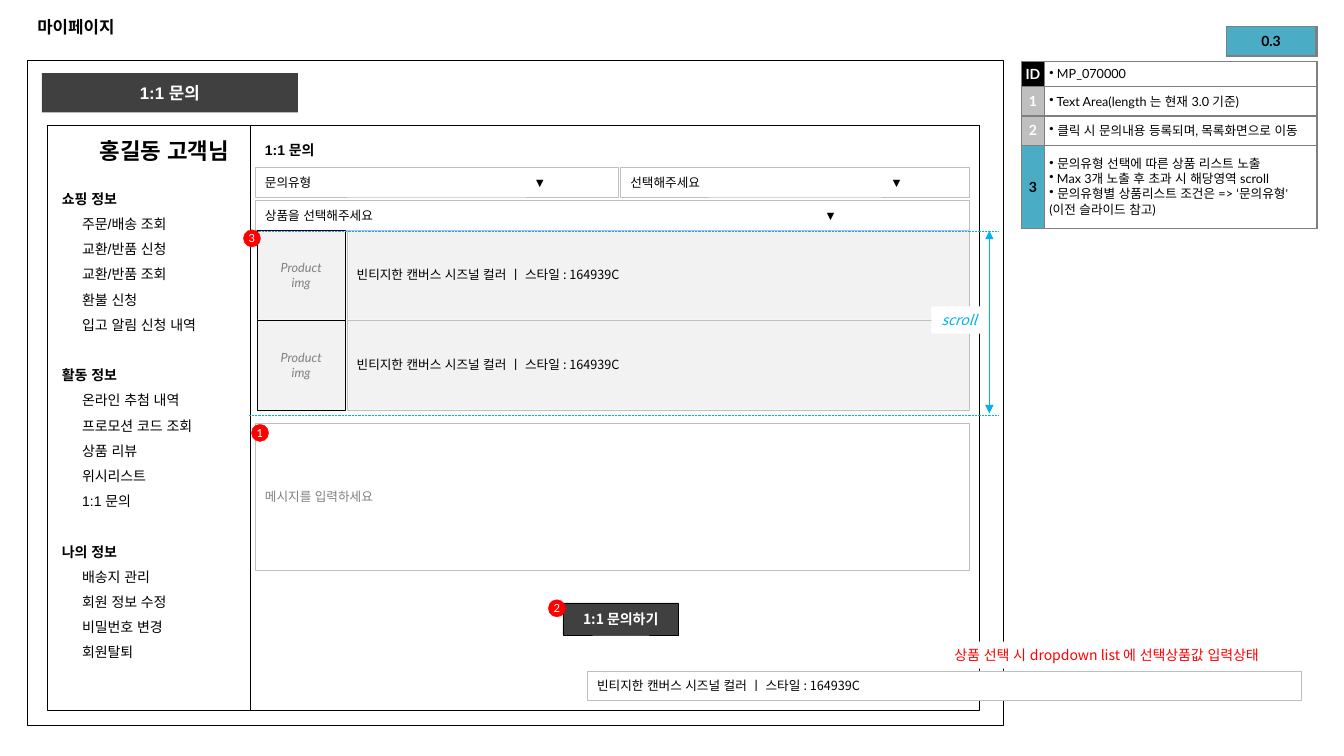
from dataclasses import dataclass, replace
from typing import NamedTuple, Optional

from lxml.etree import SubElement
from pptx import Presentation
from pptx.dml.color import RGBColor
from pptx.enum.dml import MSO_LINE
from pptx.enum.shapes import MSO_CONNECTOR, MSO_SHAPE
from pptx.enum.text import MSO_ANCHOR, MSO_AUTO_SIZE, PP_ALIGN
from pptx.oxml.ns import qn
from pptx.util import Inches, Pt

CELL = Inches(0.1)  # the slide is a grid of square cells
COLUMNS, ROWS = 133.33, 75


@dataclass(frozen=True)
class Theme:
    black: str = "000000"
    white: str = "FFFFFF"
    dark: str = "404040"
    edge: str = "7F7F7F"
    muted: str = "808080"
    silver: str = "BFBFBF"
    pale: str = "F2F2F2"
    teal: str = "4BACC6"
    sky: str = "00B0F0"
    red: str = "FF0000"
    latin: str = "Arial"
    label: str = "Lato"
    korean: str = "Noto Sans CJK KR"
    name: int = 16
    title: int = 12
    body: int = 10
    small: int = 9
    tiny: int = 8


THEME = Theme()


class Area(NamedTuple):
    column: float
    row: float
    width: float
    height: float


@dataclass(frozen=True)
class Type:
    size: int = THEME.small
    colour: str = THEME.black
    font: str = THEME.korean
    bold: bool = False
    italic: bool = False
    align: PP_ALIGN = PP_ALIGN.LEFT


@dataclass(frozen=True)
class Look:
    fill: Optional[str] = None
    line: Optional[str] = None
    weight: float = 0.25
    type: Type = Type()
    inset: Optional[float] = None
    outline: MSO_SHAPE = MSO_SHAPE.RECTANGLE
    hug: bool = False


class Block(NamedTuple):
    area: Area
    look: Look
    text: str = ""
    arrow: Optional[float] = None


class Rule(NamedTuple):
    start: tuple
    end: tuple
    weight: float
    dashed: bool = False


class Note(NamedTuple):
    mark: str
    fill: str
    colour: str
    height: float
    lines: tuple


HEADING = Type(THEME.body, font=THEME.latin, bold=True)
MARK = Type(THEME.body, font=THEME.label, bold=True, align=PP_ALIGN.CENTER)
FIELD = Look(THEME.white, THEME.silver)
PRODUCT = replace(FIELD, fill=THEME.pale)
THUMBNAIL = Look(THEME.pale, THEME.black, inset=0.4, type=Type(
    THEME.small, THEME.muted, THEME.label, italic=True, align=PP_ALIGN.CENTER))
BADGE = Look(THEME.red, THEME.red, inset=0, outline=MSO_SHAPE.OVAL, type=Type(
    THEME.tiny, THEME.white, THEME.label, align=PP_ALIGN.CENTER))
BANNER = Look(THEME.dark, type=Type(
    THEME.title, THEME.white, THEME.latin, bold=True, align=PP_ALIGN.CENTER))
BUTTON = Look(THEME.dark, THEME.black, type=Type(
    THEME.body, THEME.white, bold=True, align=PP_ALIGN.CENTER))
REMARK = Look(THEME.white, type=Type(THEME.body, THEME.red), hug=True)
SCROLL = replace(REMARK, type=Type(THEME.body, THEME.sky, italic=True))

PRODUCT_NAME = "빈티지한 캔버스 시즈널 컬러 ㅣ 스타일 : 164939C"
FORM_LEFT, FORM_WIDTH, FIELD_HEIGHT = 25.3, 70.87, 2.95
PRODUCT_TOP, PRODUCT_HEIGHT, PRODUCT_COUNT = 22.8, 8.93, 2
PRODUCT_BLOCKS = [
    block
    for top in (PRODUCT_TOP + PRODUCT_HEIGHT * index for index in range(PRODUCT_COUNT))
    for block in (Block(Area(34.4, top, 61.77, PRODUCT_HEIGHT), PRODUCT, PRODUCT_NAME),
                  Block(Area(25.5, top, 8.75, PRODUCT_HEIGHT), THUMBNAIL, "Product\nimg"))
]
BLOCKS = [
    Block(Area(2.7, 6, 96.9, 66), Look(line=THEME.black, weight=0.75)),
    Block(Area(4.7, 12.4, 20.2, 58.05), Look(line=THEME.black)),
    Block(Area(4.15, 7.25, 25.4, 3.9), BANNER, "1:1 문의"),
    Block(Area(24.8, 12.4, 72.37, 58.05), Look(THEME.white, THEME.black)),
    Block(Area(8.9, 13.3, 17.2, 3.3), Look(type=replace(HEADING, size=THEME.name)), "홍길동 고객님"),
    Block(Area(FORM_LEFT, 13.2, 19.7, 3.3), Look(type=HEADING), "1:1 문의"),
    Block(Area(55.85, 59.8, 11.45, 3.2), BUTTON, "1:1 문의하기"),
    Block(Area(FORM_LEFT, 16.6, 36, FIELD_HEIGHT), FIELD, "문의유형", 26.65),
    Block(Area(61.55, 16.6, 34.62, FIELD_HEIGHT), FIELD, "선택해주세요", 25.8),
    Block(Area(FORM_LEFT, 41.95, FORM_WIDTH, 14.65),
          replace(FIELD, type=Type(colour=THEME.muted)), "메시지를 입력하세요"),
    Block(Area(FORM_LEFT, 19.9, FORM_WIDTH, FIELD_HEIGHT), FIELD, "상품을 선택해주세요", 55.5),
    *PRODUCT_BLOCKS,
    Block(Area(58.25, 66.55, FORM_WIDTH, FIELD_HEIGHT), FIELD, PRODUCT_NAME),
    Block(Area(93.7, 63.65, 34.7, 2.7), REMARK, "상품 선택 시 dropdown list 에 선택상품값 입력상태"),
]
RULES = [Rule((24.7, 22.9), (99.1, 22.9), 0.25, True),
         Rule((24.7, 41.2), (99.1, 41.2), 0.25, True),
         Rule((98.15, 22.9), (98.15, 41), 0.75)]
FRONT_BLOCKS = [Block(Area(92.4, 30.4, 5.5, 2.7), SCROLL, "scroll")] + [
    Block(Area(column, row, 1.7, 1.7), BADGE, number)
    for number, column, row in (("1", 24.95, 42.1), ("2", 54.4, 59.5), ("3", 24.15, 22.8))]
MENU = {
    "쇼핑 정보": ("주문/배송 조회", "교환/반품 신청", "교환/반품 조회", "환불 신청", "입고 알림 신청 내역"),
    "활동 정보": ("온라인 추첨 내역", "프로모션 코드 조회", "상품 리뷰", "위시리스트", "1:1 문의"),
    "나의 정보": ("배송지 관리", "회원 정보 수정", "비밀번호 변경", "회원탈퇴"),
}
NOTES = [
    Note("ID", THEME.black, THEME.white, 2.5, ("MP_070000",)),
    Note("1", THEME.silver, THEME.white, 2.9, ("Text Area(length 는 현재 3.0 기준)",)),
    Note("2", THEME.silver, THEME.white, 2.9, ("클릭 시 문의내용 등록되며, 목록화면으로 이동",)),
    Note("3", THEME.teal, THEME.black, 8.3, (
        "문의유형 선택에 따른 상품 리스트 노출", "Max 3개 노출 후 초과 시 해당영역 scroll",
        "문의유형별 상품리스트 조건은 => ‘문의유형’ (이전 슬라이드 참고)")),
]
VERSION_LEFTS = (121.75, 121.65)


def grid(cells: float) -> int:
    return round(cells * CELL)


def place(shape, area: Area) -> None:
    shape.left, shape.top, shape.width, shape.height = map(grid, area)


def set_type(para, style: Type):
    """Format a paragraph and return its default run properties element."""
    para.alignment = style.align
    font = para.font
    font.size, font.name = Pt(style.size), style.font
    font.bold, font.italic = style.bold, style.italic
    font.color.rgb = RGBColor.from_string(style.colour)
    defaults = para._p.pPr.find(qn("a:defRPr"))
    SubElement(defaults, qn("a:ea"), typeface=THEME.latin)
    return defaults


def set_bullet(para, defaults, bullet: Optional[str], indent: float = 0) -> None:
    properties = para._p.pPr
    properties.set("marL", str(grid(indent)))
    properties.set("indent", "0")
    tag = "a:buChar" if bullet else "a:buNone"
    mark = SubElement(properties, qn(tag), **({"char": bullet} if bullet else {}))
    defaults.addprevious(mark)


def set_inset(holder, inset: float) -> None:
    holder.margin_left = holder.margin_right = grid(inset)
    holder.margin_top = holder.margin_bottom = grid(inset)


def draw_block(page, block: Block) -> None:
    look = block.look
    box = page.shapes.add_shape(look.outline, *map(grid, block.area))
    box.shadow.inherit = False
    for paint, colour in ((box.fill, look.fill), (box.line.fill, look.line)):
        if colour:
            paint.solid()
            paint.fore_color.rgb = RGBColor.from_string(colour)
        else:
            paint.background()
    if look.line:
        box.line.width = Pt(look.weight)
    if not block.text:
        return
    frame = box.text_frame
    frame.word_wrap = not look.hug
    frame.auto_size = MSO_AUTO_SIZE.SHAPE_TO_FIT_TEXT if look.hug else MSO_AUTO_SIZE.NONE
    frame.vertical_anchor = MSO_ANCHOR.TOP if look.hug else MSO_ANCHOR.MIDDLE
    if look.inset is not None:
        set_inset(frame, look.inset)
    frame.text = block.text if block.arrow is None else f"{block.text}\t▼"
    for para in frame.paragraphs:
        defaults = set_type(para, look.type)
        if block.arrow is not None:
            tabs = SubElement(para._p.pPr, qn("a:tabLst"))
            SubElement(tabs, qn("a:tab"), pos=str(grid(block.arrow)), algn="l")
            defaults.addprevious(tabs)


def draw_rule(page, rule: Rule) -> None:
    line = page.shapes.add_connector(MSO_CONNECTOR.STRAIGHT, *map(grid, rule.start + rule.end))
    line.line.color.rgb = RGBColor.from_string(THEME.sky)
    line.line.width = Pt(rule.weight)
    if rule.dashed:
        line.line.dash_style = MSO_LINE.SQUARE_DOT
    else:
        for end in ("a:headEnd", "a:tailEnd"):
            SubElement(line.line._get_or_add_ln(), qn(end), type="triangle")
    SubElement(line._element.spPr, qn("a:effectLst"))


def add_grid_table(page, area: Area, widths: list, heights: list):
    table = page.shapes.add_table(len(heights), len(widths), *map(grid, area)).table
    table.first_row = table.horz_banding = False
    for column, width in zip(table.columns, widths):
        column.width = grid(width)
    for row, height in zip(table.rows, heights):
        row.height = grid(height)
    return table


def fill_cell(cell, lines: tuple, fill: str, style: Type, inset: float = 0,
              bullet: Optional[str] = None) -> None:
    cell.text = "\n".join(f" {line}" if bullet else line for line in lines)
    cell.vertical_anchor = MSO_ANCHOR.MIDDLE
    set_inset(cell, inset)
    for para in cell.text_frame.paragraphs:
        set_bullet(para, set_type(para, style), bullet)
    properties = cell._tc.get_or_add_tcPr()
    for side in ("a:lnL", "a:lnR", "a:lnT", "a:lnB"):
        border = SubElement(properties, qn(side), w=str(Pt(1)))
        SubElement(SubElement(border, qn("a:solidFill")), qn("a:srgbClr"), val=THEME.edge)
    cell.fill.solid()
    cell.fill.fore_color.rgb = RGBColor.from_string(fill)


def draw_notes(page) -> None:
    heights = [note.height for note in NOTES]
    table = add_grid_table(page, Area(101.35, 6.1, 29.3, sum(heights)), [2.25, 27.05], heights)
    for row, note in enumerate(NOTES):
        fill_cell(table.cell(row, 0), (note.mark,), note.fill, replace(MARK, colour=note.colour))
        fill_cell(table.cell(row, 1), note.lines, THEME.white, Type(font=THEME.label), 0.5, "•")


def draw_version(page, left: float) -> None:
    table = add_grid_table(page, Area(left, 2.65, 8.9, 2.9), [8.9], [2.9])
    fill_cell(table.cell(0, 0), ("0.3",), THEME.teal, MARK)


def fill_title(title) -> None:
    place(title, Area(2.7, 0.7, 127.9, 3.9))
    title.text_frame.text = "마이페이지"
    title.text_frame.vertical_anchor = MSO_ANCHOR.MIDDLE
    set_type(title.text_frame.paragraphs[0], replace(HEADING, size=THEME.title))


def fill_menu(body) -> None:
    place(body, Area(5.15, 17.55, 19.7, 47.3))
    frame = body.text_frame
    frame.auto_size = MSO_AUTO_SIZE.NONE
    frame.text = "\n".join(line for heading, items in MENU.items() for line in (heading, *items))
    for index, para in enumerate(frame.paragraphs):
        is_heading = para.text in MENU
        defaults = set_type(para, replace(HEADING, bold=is_heading))
        para.line_spacing = Pt(18)
        para.space_before = Pt(18 if is_heading and index else 0)
        set_bullet(para, defaults, None, 0 if is_heading else 2)


def main() -> None:
    deck = Presentation()
    deck.slide_width, deck.slide_height = grid(COLUMNS), grid(ROWS)
    page = deck.slides.add_slide(deck.slide_layouts[1])
    fill_title(page.shapes.title)
    fill_menu(page.placeholders[1])
    for block in BLOCKS:
        draw_block(page, block)
    for rule in RULES:
        draw_rule(page, rule)
    for block in FRONT_BLOCKS:
        draw_block(page, block)
    draw_notes(page)
    for left in VERSION_LEFTS:
        draw_version(page, left)
    deck.save("out.pptx")


if __name__ == "__main__":
    main()
